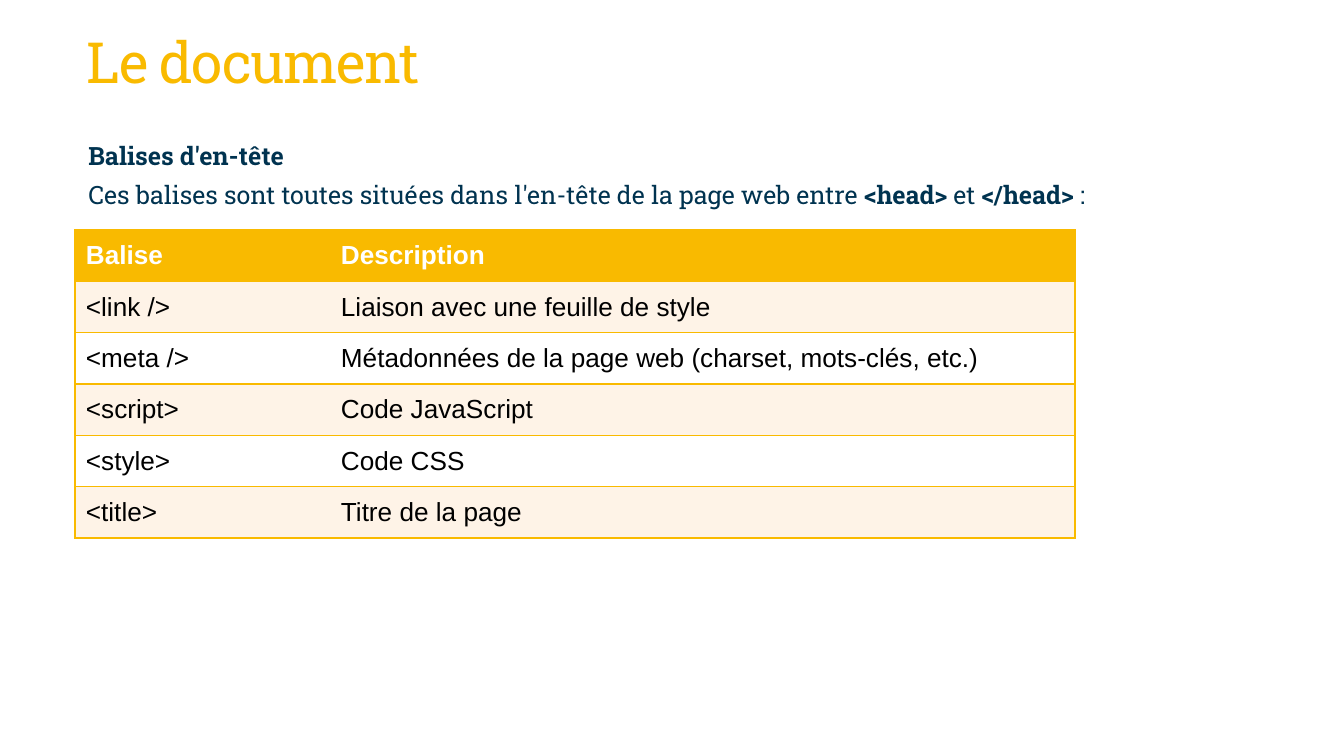
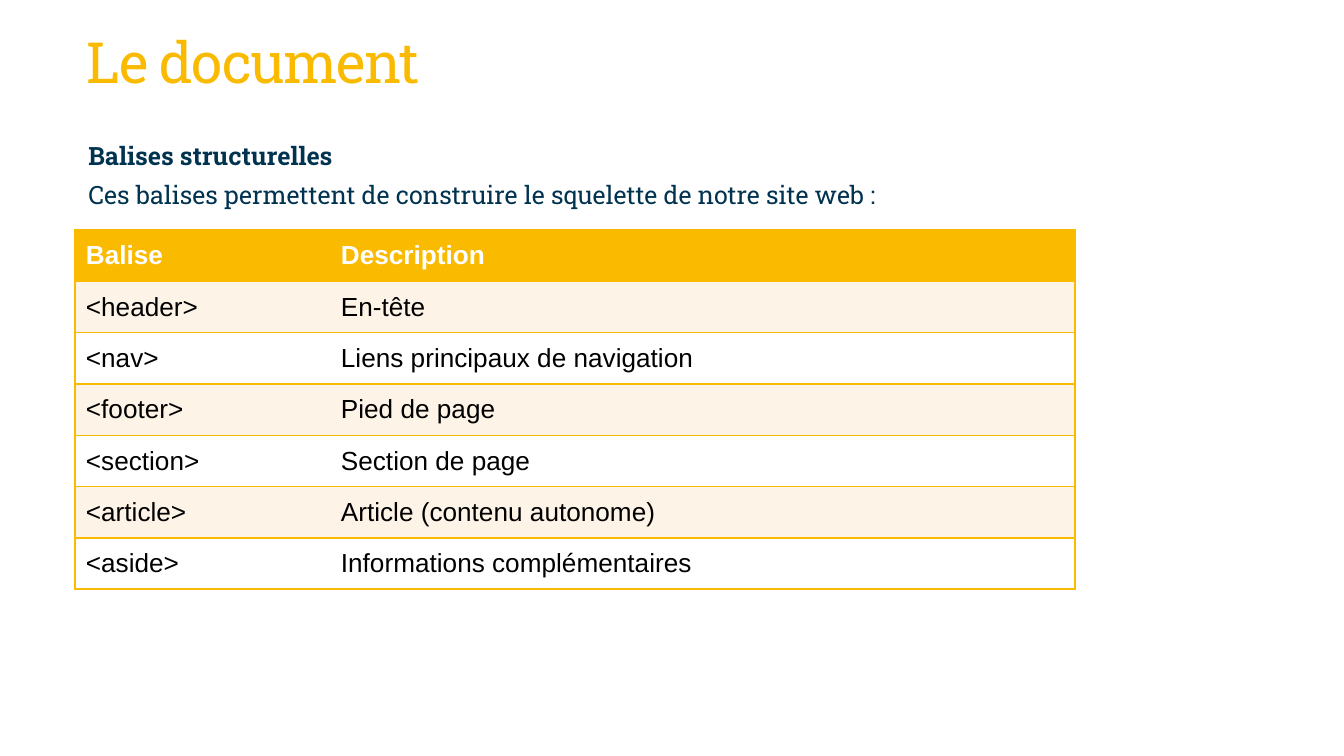
from dataclasses import dataclass

from lxml.etree import SubElement
from pptx import Presentation
from pptx.dml.color import RGBColor as RGB
from pptx.enum.text import MSO_ANCHOR as Anchor, MSO_AUTO_SIZE as AutoSize, PP_ALIGN as Align
from pptx.oxml.ns import qn
from pptx.util import Emu, Pt

PX = 914400 / 134.4  # EMU in one pixel


# Theme shared by both slides
@dataclass(frozen=True)
class Theme:
    gold: str = "F9BA00"
    navy: str = "003350"
    black: str = "000000"
    white: str = "FFFFFF"
    cream: str = "FEF3E7"
    slab: str = "Roboto Slab"
    sans: str = "Arial"
    title_size: float = 30.4
    intro_size: float = 13.5
    table_size: float = 14
    line_spacing: float = 0.85
    space_before: float = 7.3
    no_grid: str = "{2D5ABB26-0587-4C30-8999-92F81FD0307C}"


theme = Theme()


def px(*lengths):
    return [Emu(round(length * PX)) for length in lengths]


def style(run, font, size, color, bold=False):
    run.font.name = font
    run.font.size = Pt(size)
    run.font.bold = bold
    run.font.color.rgb = RGB.from_string(color)


# Content: title, heading, intro as (text, bold) runs, table rows
header = ("Balise", "Description")
slides = [
    (
        "Le document",
        "Balises d'en-tête",
        [
            ("Ces balises sont toutes situées dans l'en-tête de la page web entre ", False),
            ("<head> ", True),
            ("et ", False),
            ("</head>", True),
            (" :", False),
        ],
        [
            ("<link />", "Liaison avec une feuille de style"),
            ("<meta />", "Métadonnées de la page web (charset, mots-clés, etc.)"),
            ("<script>", "Code JavaScript"),
            ("<style>", "Code CSS"),
            ("<title>", "Titre de la page"),
        ],
    ),
    (
        "Le document",
        "Balises structurelles",
        [("Ces balises permettent de construire le squelette de notre site web :", False)],
        [
            ("<header>", "En-tête"),
            ("<nav>", "Liens principaux de navigation"),
            ("<footer>", "Pied de page"),
            ("<section>", "Section de page"),
            ("<article>", "Article (contenu autonome)"),
            ("<aside>", "Informations complémentaires"),
        ],
    ),
]
column_widths = px(255, 745)
row_height = 45
(cell_inset,) = px(11)

prs = Presentation()
prs.slide_width, prs.slide_height = px(1344, 756)

for title_text, heading, intro, tags in slides:
    slide = prs.slides.add_slide(prs.slide_layouts[1])

    # Title
    title = slide.shapes.title
    title.left, title.top, title.width, title.height = px(73, 20, 1188, 93)
    title.text_frame.text = title_text
    title.text_frame.auto_size = AutoSize.NONE
    title.text_frame.vertical_anchor = Anchor.MIDDLE
    title_line = title.text_frame.paragraphs[0]
    title_line.alignment = Align.LEFT
    title_line.line_spacing = theme.line_spacing
    style(title_line.runs[0], theme.slab, theme.title_size, theme.gold)
    title_line.runs[0].font._element.set("spc", "-70")

    # Heading and introduction
    body = slide.placeholders[1]
    body.left, body.top, body.width, body.height = px(75, 138, 1185, 509)
    body.text_frame.auto_size = AutoSize.NONE
    body.text_frame.vertical_anchor = Anchor.TOP
    body.text_frame.text = heading
    intro_line = body.text_frame.add_paragraph()
    for text, _ in intro:
        intro_line.add_run().text = text
    bolds = [[True], [bold for _, bold in intro]]
    for paragraph, run_bolds in zip(body.text_frame.paragraphs, bolds):
        paragraph.line_spacing = theme.line_spacing
        paragraph.space_before = Pt(theme.space_before)
        properties = paragraph._p.get_or_add_pPr()
        properties.set("marL", "0")
        properties.set("indent", "0")
        SubElement(properties, qn("a:buNone"))
        for run, bold in zip(paragraph.runs, run_bolds):
            style(run, theme.slab, theme.intro_size, theme.navy, bold)

    # Table of tags
    rows = [header, *tags]
    frame = px(75, 230, 1000, row_height * len(rows))
    table = slide.shapes.add_table(len(rows), len(header), *frame).table
    table.horz_banding = False
    table._tbl.tblPr.find(qn("a:tableStyleId")).text = theme.no_grid
    for column, width in zip(table.columns, column_widths):
        column.width = width

    for r, row in enumerate(rows):
        is_header = r == 0
        if is_header:
            fill, ink = theme.gold, theme.white
        else:
            fill, ink = (theme.cream if r % 2 else theme.white), theme.black
        for c, text in enumerate(row):
            cell = table.cell(r, c)
            cell.text_frame.text = text
            cell.vertical_anchor = Anchor.MIDDLE if is_header else Anchor.TOP
            cell.margin_left = cell.margin_right = cell_inset
            cell.margin_top = cell.margin_bottom = cell_inset
            style(cell.text_frame.paragraphs[0].runs[0],
                  theme.sans, theme.table_size, ink, is_header)
            cell.fill.solid()
            cell.fill.fore_color.rgb = RGB.from_string(fill)

            # Outer side, top and bottom borders come before the fill
            cell_properties = cell._tc.get_or_add_tcPr()
            sides = ("a:lnL" if c == 0 else "a:lnR", "a:lnT", "a:lnB")
            for position, side in enumerate(sides):
                border = SubElement(cell_properties, qn(side), w=str(Pt(1)))
                line_fill = SubElement(border, qn("a:solidFill"))
                SubElement(line_fill, qn("a:srgbClr"), val=theme.gold)
                cell_properties.insert(position, border)

prs.save("out.pptx")
